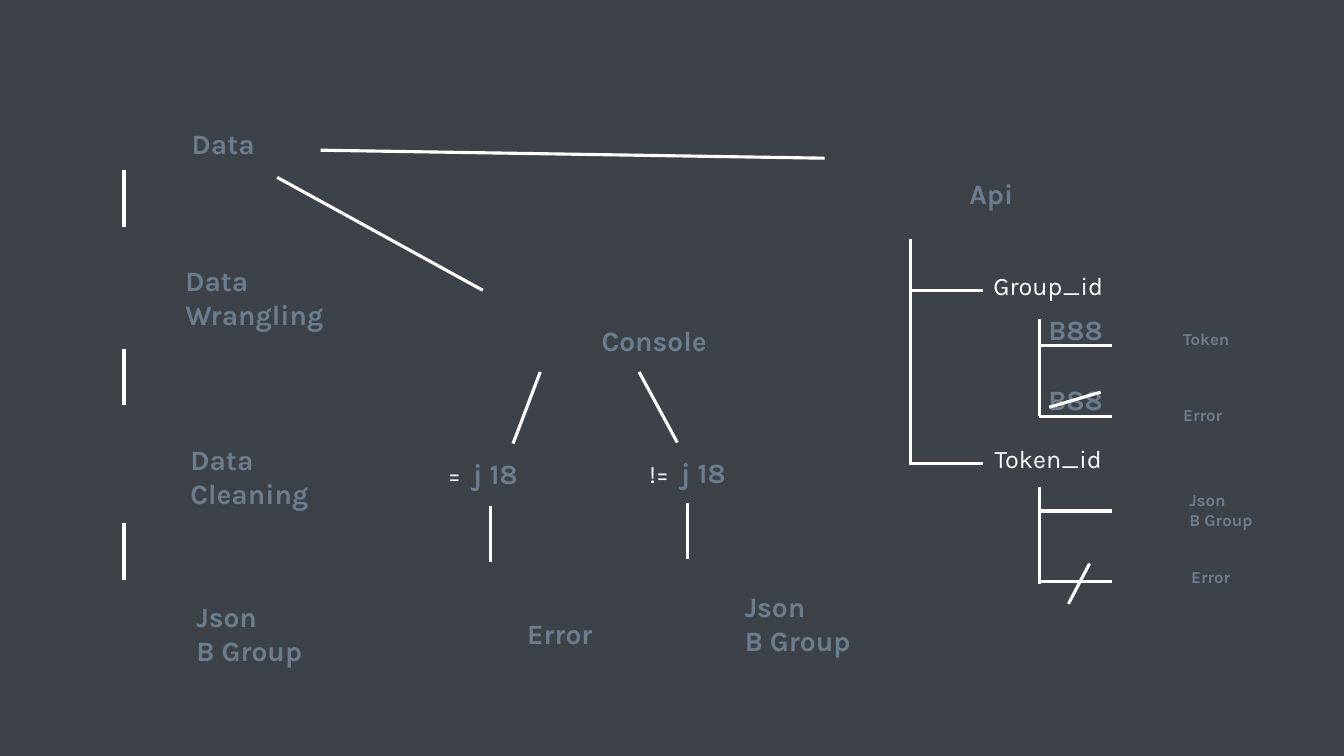
from dataclasses import dataclass

from lxml import etree
from pptx import Presentation
from pptx.dml.color import RGBColor
from pptx.enum.shapes import MSO_CONNECTOR
from pptx.enum.text import MSO_AUTO_SIZE, PP_ALIGN
from pptx.oxml.ns import qn
from pptx.slide import Slide
from pptx.util import Pt

STRAIGHT = MSO_CONNECTOR.STRAIGHT
FIT_SHAPE = MSO_AUTO_SIZE.SHAPE_TO_FIT_TEXT
LEFT, CENTER = PP_ALIGN.LEFT, PP_ALIGN.CENTER

BACKGROUND, WHITE, SLATE = "3D4248", "FFFFFF", "6C7D8E"
DROP_LENGTH = 40.3
BRANCH_LENGTH = 51.8


@dataclass(frozen=True)
class Style:
    size: float
    color: str
    bold: bool


NODE = Style(20, SLATE, True)
FIELD = Style(18, WHITE, False)
RESULT = Style(12, SLATE, True)


@dataclass(frozen=True)
class Label:
    """One text box; prefix is set in the field style before the text."""
    left: float
    top: float
    width: float
    text: str
    style: Style = NODE
    align: PP_ALIGN = LEFT
    lines: int = 1
    prefix: str = ""


@dataclass(frozen=True)
class Stroke:
    start: tuple[float, float]
    end: tuple[float, float]


@dataclass(frozen=True)
class Bracket:
    """A vertical trunk with horizontal branches to the right."""
    left: float
    top: float
    bottom: float
    branches: tuple[float, ...]


LABELS = [
    Label(115.9, 87.1, 87.1, "Data", align=CENTER),
    Label(125.3, 185, 118.8, "Data Wrangling", lines=2),
    Label(128.9, 312.5, 118.8, "Data Cleaning", lines=2),
    Label(133.2, 424.8, 118.8, "Json\nB Group", lines=2),
    Label(422.6, 227.5, 102.2, "Console"),
    Label(304.6, 322.6, 80.6, "j 18", align=CENTER, prefix="=  "),
    Label(450.7, 321.8, 80.6, "j 18", align=CENTER, prefix="!=  "),
    Label(369.4, 437, 80.6, "Error"),
    Label(524.9, 417.6, 118.8, "Json\nB Group", lines=2),
    Label(685.4, 122.4, 102.2, "Api"),
    Label(702, 189.4, 93.6, "Group_id", FIELD, CENTER),
    Label(727.9, 219.6, 80.6, "B88", align=CENTER),
    Label(838.1, 231.1, 80.6, "Token", RESULT),
    Label(727.9, 270, 80.6, "B88", align=CENTER),
    Label(838.1, 285.8, 80.6, "Error", RESULT),
    Label(702, 313.2, 93.6, "Token_id", FIELD, CENTER),
    Label(842.4, 346.3, 68.4, "Json\nB Group", RESULT, lines=2),
    Label(843.8, 401, 80.6, "Error", RESULT),
]

DROPS = [(88.6, 121.7), (88.6, 249.1), (88.6, 373.7), (350.6, 361.4), (491, 359.3)]

BRACKETS = [
    Bracket(650.2, 170.6, 331.9, (207.4, 331.2)),
    Bracket(742.3, 228.2, 297.4, (246.9, 297.4)),
    Bracket(742.3, 347.8, 416.9, (365, 415.4)),
]

SLANTS = [
    Stroke((229, 107.3), (589, 113)),
    Stroke((198, 126.7), (344.9, 207.4)),
    Stroke((366.5, 316.8), (385.9, 265.7)),
    Stroke((483.8, 316.1), (456.5, 265.7)),
    Stroke((749.5, 290.9), (786.2, 280.1)),
    Stroke((763.2, 431.3), (778.3, 402.5)),
]


def rgb(color: str) -> RGBColor:
    return RGBColor.from_string(color)


def add_run(paragraph, text: str, style: Style) -> None:
    run = paragraph.add_run()
    run.text = text
    font_format = {"name": "Karla", "size": Pt(style.size), "bold": style.bold}
    for name, value in font_format.items():
        setattr(run.font, name, value)
    run.font.color.rgb = rgb(style.color)


def add_label(slide: Slide, label: Label) -> None:
    height = 7.2 + 1.2 * label.style.size * label.lines
    shape = slide.shapes.add_textbox(
        Pt(label.left), Pt(label.top), Pt(label.width), Pt(height))
    frame = shape.text_frame
    for name, value in {"word_wrap": True, "auto_size": FIT_SHAPE}.items():
        setattr(frame, name, value)
    for index, text in enumerate(label.text.split("\n")):
        paragraph = frame.add_paragraph() if index else frame.paragraphs[0]
        paragraph.alignment = label.align
        if label.prefix:
            add_run(paragraph, label.prefix, FIELD)
        add_run(paragraph, text, label.style)


def add_stroke(slide: Slide, stroke: Stroke) -> None:
    connector = slide.shapes.add_connector(
        STRAIGHT, *(Pt(value) for value in stroke.start + stroke.end))
    connector.line.color.rgb = rgb(WHITE)
    connector.line.width = Pt(2.25)
    etree.SubElement(connector._element.spPr, qn("a:effectLst"))


def bracket_strokes(bracket: Bracket) -> list[Stroke]:
    left = bracket.left
    trunk = Stroke((left, bracket.top), (left, bracket.bottom))
    return [trunk] + [Stroke((left, y), (left + BRANCH_LENGTH, y)) for y in bracket.branches]


def main() -> None:
    presentation = Presentation()
    presentation.slide_width, presentation.slide_height = Pt(960), Pt(540)
    slide = presentation.slides.add_slide(presentation.slide_layouts[6])
    fill = slide.background.fill
    fill.solid()
    fill.fore_color.rgb = rgb(BACKGROUND)

    for label in LABELS:
        add_label(slide, label)
    strokes = [Stroke((x, y), (x, y + DROP_LENGTH)) for x, y in DROPS]
    for bracket in BRACKETS:
        strokes += bracket_strokes(bracket)
    for stroke in strokes + SLANTS:
        add_stroke(slide, stroke)
    presentation.save("out.pptx")


if __name__ == "__main__":
    main()
